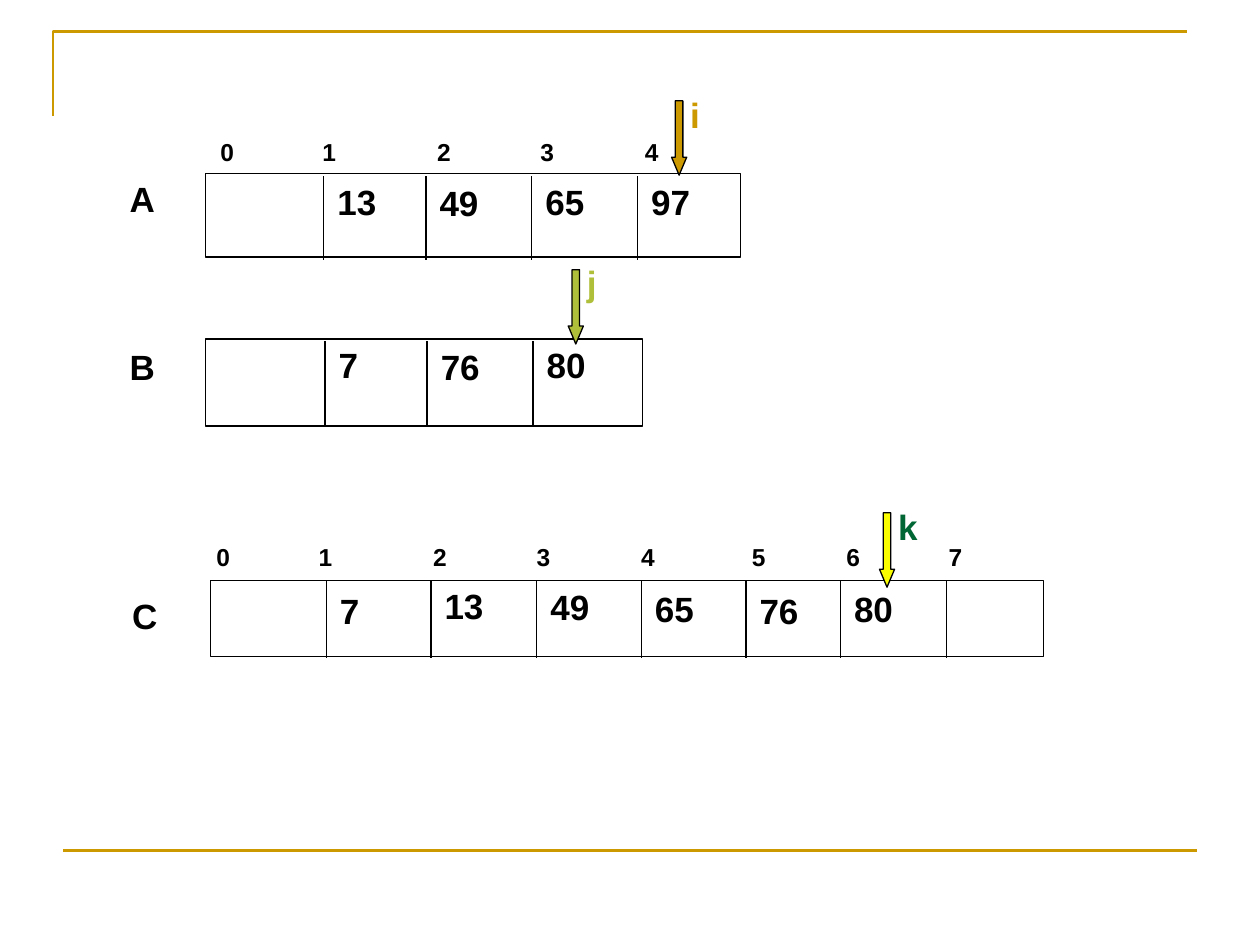
from dataclasses import dataclass

from lxml import etree
from pptx import Presentation
from pptx.dml.color import RGBColor
from pptx.enum.shapes import MSO_CONNECTOR, MSO_SHAPE
from pptx.enum.text import MSO_AUTO_SIZE
from pptx.oxml.ns import qn
from pptx.slide import Slide
from pptx.util import Inches, Pt

BLACK = RGBColor(0x00, 0x00, 0x00)
WHITE = RGBColor(0xFF, 0xFF, 0xFF)
GOLD = RGBColor(0xCC, 0x99, 0x00)
OLIVE = RGBColor(0xAF, 0xBF, 0x39)
YELLOW = RGBColor(0xFA, 0xFD, 0x00)
GREEN = RGBColor(0x00, 0x66, 0x33)

INDEX_TABS = [0.81, 1.72, 2.54, 3.37, 4.25, 5.0, 5.81]


@dataclass
class ArrayDiagram:
    slide: Slide
    font_name: str = "Arial"
    value_size: int = 20
    index_size: int = 14
    thin: float = 0.75
    thick: float = 1.5

    def line(self, start, end, color=BLACK, width=None):
        connector = self.slide.shapes.add_connector(
            MSO_CONNECTOR.STRAIGHT, *map(Inches, start + end))
        connector.line.color.rgb = color
        connector.line.width = Pt(width or self.thin)
        etree.SubElement(connector._element.spPr, qn("a:effectLst"))

    def corner(self, points):
        start, *rest = [tuple(map(Inches, point)) for point in points]
        builder = self.slide.shapes.build_freeform(*start)
        builder.add_line_segments(rest, close=False)
        shape = builder.convert_to_shape()
        shape.shadow.inherit = False
        shape.fill.background()
        shape.line.color.rgb = GOLD
        shape.line.width = Pt(self.thick)

    def shape(self, kind, box, fill, shapes=None):
        shape = (shapes or self.slide.shapes).add_shape(kind, *map(Inches, box))
        shape.shadow.inherit = False
        shape.fill.solid()
        shape.fill.fore_color.rgb = fill
        shape.line.color.rgb = BLACK
        shape.line.width = Pt(self.thin)
        return shape

    def text(self, text, box, size=None, color=BLACK, tabs=(), shapes=None):
        text_box = (shapes or self.slide.shapes).add_textbox(*map(Inches, box))
        frame = text_box.text_frame
        frame.word_wrap = True
        frame.auto_size = MSO_AUTO_SIZE.SHAPE_TO_FIT_TEXT
        frame.text = text
        paragraph = frame.paragraphs[0]
        if tabs:
            tab_list = etree.SubElement(
                paragraph._p.get_or_add_pPr(), qn("a:tabLst"))
            for position in tabs:
                etree.SubElement(tab_list, qn("a:tab"),
                                 pos=str(Inches(position)), algn="l")
        for run in paragraph.runs:
            run.font.name = self.font_name
            run.font.size = Pt(size or self.value_size)
            run.font.bold = True
            run.font.color.rgb = color

    def indices(self, left, top, width, count):
        self.text("\t".join(map(str, range(count))), (left, top, width, 0.34),
                  self.index_size, tabs=INDEX_TABS[:count - 1])

    def array(self, name, name_at, box, dividers, divider_span, values):
        """Draw a named row of cells; values are (text, top) from cell 1 on."""
        self.shape(MSO_SHAPE.RECTANGLE, box, WHITE)
        top, bottom = divider_span
        for x in dividers:
            self.line((x, top), (x, bottom))
        for x, (value, value_top) in zip(dividers, values):
            self.text(value, (x + 0.01, value_top, 0.67, 0.44))
        self.text(name, name_at + (0.67, 0.44))

    def pointer(self, name, left, top, fill, color):
        shapes = self.slide.shapes.add_group_shape().shapes
        arrow = self.shape(MSO_SHAPE.DOWN_ARROW, (left, top, 0.12, 0.59),
                           fill, shapes)
        arrow.adjustments[0] = 0.5
        arrow.adjustments[1] = 1.19
        self.text(name, (left + 0.05, top - 0.11, 0.53, 0.44),
                  color=color, shapes=shapes)


def main():
    presentation = Presentation()
    presentation.slide_width = Inches(10)
    presentation.slide_height = Inches(7.5)
    blank_layout = presentation.slide_layouts[6]
    diagram = ArrayDiagram(presentation.slides.add_slide(blank_layout))

    diagram.corner([(0.42, 0.92), (0.42, 0.25), (9.42, 0.25)])
    diagram.line((0.5, 6.75), (9.5, 6.75), GOLD, diagram.thick)

    diagram.indices(1.65, 1.04, 4.25, 5)
    diagram.array("A", (0.93, 1.36), (1.63, 1.38, 4.25, 0.66),
                  [2.57, 3.38, 4.22, 5.06], (1.4, 2.06),
                  [("13", 1.38), ("49", 1.39), ("65", 1.38), ("97", 1.38)])
    diagram.array("B", (0.93, 2.69), (1.63, 2.69, 3.47, 0.69),
                  [2.58, 3.39, 4.23], (2.71, 3.37),
                  [("7", 2.68), ("76", 2.69), ("80", 2.68)])
    diagram.indices(1.62, 4.25, 6.66, 8)
    diagram.array("C", (0.95, 4.67), (1.67, 4.61, 6.61, 0.6),
                  [2.59, 3.42, 4.26, 5.09, 5.92, 6.67, 7.51], (4.61, 5.22),
                  [("7", 4.63), ("13", 4.59), ("49", 4.6),
                   ("65", 4.61), ("76", 4.63), ("80", 4.61)])

    diagram.pointer("i", 5.33, 0.8, GOLD, GOLD)
    diagram.pointer("j", 4.51, 2.14, OLIVE, OLIVE)
    diagram.pointer("k", 6.98, 4.07, YELLOW, GREEN)

    presentation.save("out.pptx")


if __name__ == "__main__":
    main()
